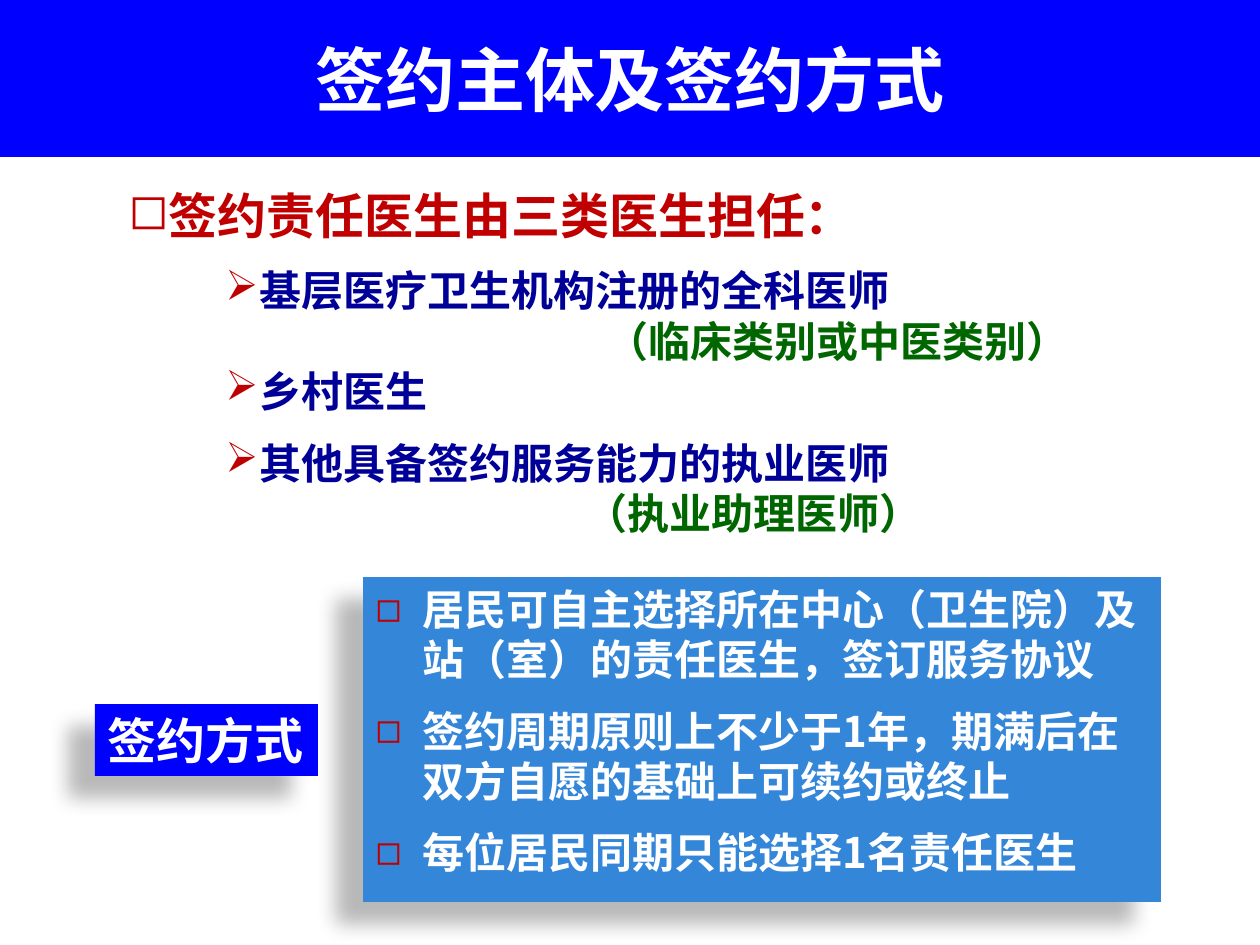
from lxml import etree
from pptx import Presentation
from pptx.dml.color import RGBColor
from pptx.enum.text import MSO_ANCHOR, MSO_AUTO_SIZE, PP_ALIGN
from pptx.oxml.ns import qn
from pptx.util import Emu, Pt

PX = 914400 / 126
FONT = "Noto Sans CJK SC"
LINE_FACTOR = 1.2
COLOURS = {
    "white": "FFFFFF",
    "blue": "0000FF",
    "panel": "3486D9",
    "red": "C00000",
    "navy": "000099",
    "green": "006600",
    "shadow": "000000",
}
CENTER = PP_ALIGN.CENTER
LEFT = PP_ALIGN.LEFT
TOP = MSO_ANCHOR.TOP
MIDDLE = MSO_ANCHOR.MIDDLE
FIXED_SIZE = MSO_AUTO_SIZE.NONE
SQUARE, ARROW = "◻", "➢"
TITLE_BOX = (0, 0, 1260, 157)
DOCTORS_BOX = (116, 179, 1050, 357)
METHODS_BOX = (363, 577, 798, 325)
LABEL_BOX = (95, 704, 223, 72)
DOCTORS = [
    ("签约责任医生由三类医生担任：", 28, "red", dict(bullet=SQUARE)),
    ("基层医疗卫生机构注册的全科医师", 24, "navy",
     dict(level=1, bullet=ARROW, margin=131, indent=-34, before=12)),
    ("（临床类别或中医类别）", 24, "green", dict(level=1, margin=478)),
    ("乡村医生", 24, "navy", dict(level=1, bullet=ARROW, margin=131, indent=-34)),
    ("其他具备签约服务能力的执业医师", 24, "navy",
     dict(level=1, bullet=ARROW, margin=131, indent=-34, before=12)),
    ("（执业助理医师）", 24, "green", dict(margin=457)),
]
METHODS = [
    "居民可自主选择所在中心（卫生院）及站（室）的责任医生，签订服务协议",
    "签约周期原则上不少于1年，期满后在双方自愿的基础上可续约或终止",
    "每位居民同期只能选择1名责任医生",
]


def px(length):
    """Turn a length in px into EMU."""
    return Emu(round(length * PX))


def place(shape, box):
    """Move and size a shape."""
    shape.left, shape.top, shape.width, shape.height = map(px, box)


def fill(shape, colour):
    """Give a shape a solid fill without outline."""
    shape.fill.solid()
    shape.fill.fore_color.rgb = RGBColor.from_string(COLOURS[colour])
    shape.line.fill.background()


def add_soft_shadow(shape):
    """Cast a blurred shadow to the lower left."""
    shape.shadow.inherit = False
    effects = shape._element.spPr.find(qn("a:effectLst"))
    shadow = etree.SubElement(
        effects, qn("a:outerShdw"), blurRad=str(Pt(11.8)), dist=str(Pt(19.7)),
        dir=str(141 * 60000), algn="tr", rotWithShape="0")
    colour = etree.SubElement(shadow, qn("a:srgbClr"), val=COLOURS["shadow"])
    etree.SubElement(colour, qn("a:alpha"), val="28000")


def set_bullet(paragraph, bullet, margin, indent):
    """Set the indents and the red bullet of a paragraph."""
    properties = paragraph._p.get_or_add_pPr()
    properties.set("marL", str(px(margin)))
    properties.set("indent", str(px(indent)))
    if bullet:
        colour = etree.SubElement(properties, qn("a:buClr"))
        etree.SubElement(colour, qn("a:srgbClr"), val=COLOURS["red"])
        etree.SubElement(properties, qn("a:buChar"), char=bullet)
    else:
        etree.SubElement(properties, qn("a:buNone"))


def write(paragraph, text, size, colour, bullet=None, level=0, margin=0,
          indent=0, before=0, align=LEFT):
    """Write one formatted paragraph."""
    set_bullet(paragraph, bullet, margin, indent)
    paragraph.level = level
    paragraph.alignment = align
    paragraph.space_before = Pt(before)
    paragraph.line_spacing = Pt(size * LINE_FACTOR)
    run = paragraph.add_run()
    run.text = text
    run.font.size = Pt(size)
    run.font.bold = True
    run.font.name = FONT
    run.font.color.rgb = RGBColor.from_string(COLOURS[colour])
    latin = run._r.rPr.find(qn("a:latin"))
    latin.addnext(etree.Element(qn("a:ea"), typeface=FONT))


def write_all(shape, items, anchor=TOP, wrap=True):
    """Write a list of paragraphs into a shape."""
    frame = shape.text_frame
    frame.word_wrap = wrap
    frame.auto_size = FIXED_SIZE
    frame.vertical_anchor = anchor
    for index, (text, size, colour, options) in enumerate(items):
        paragraph = frame.add_paragraph() if index else frame.paragraphs[0]
        write(paragraph, text, size, colour, **options)


def add_title(slide):
    """Fill the title band."""
    title = slide.shapes.title
    place(title, TITLE_BOX)
    fill(title, "blue")
    write_all(title, [("签约主体及签约方式", 40, "white", dict(align=CENTER))], MIDDLE)


def add_doctors(slide):
    """Add the list of doctor types."""
    doctors = slide.shapes.add_textbox(*map(px, DOCTORS_BOX))
    write_all(doctors, DOCTORS)


def add_methods(slide):
    """Fill the panel of signing rules."""
    panel = slide.placeholders[1]
    place(panel, METHODS_BOX)
    fill(panel, "panel")
    add_soft_shadow(panel)
    write_all(panel, [
        (text, 24, "white",
         dict(bullet=SQUARE, margin=47, indent=-47, before=12 if index else 0))
        for index, text in enumerate(METHODS)])


def add_label(slide):
    """Add the label beside the panel."""
    label = slide.shapes.add_textbox(*map(px, LABEL_BOX))
    fill(label, "blue")
    add_soft_shadow(label)
    write_all(label, [("签约方式", 28, "white", {})], wrap=False)


def main():
    """Build and save the slide."""
    presentation = Presentation()
    presentation.slide_width, presentation.slide_height = px(1260), px(945)
    slide = presentation.slides.add_slide(presentation.slide_layouts[1])
    add_title(slide)
    add_methods(slide)
    add_doctors(slide)
    add_label(slide)
    presentation.save("out.pptx")


if __name__ == "__main__":
    main()
